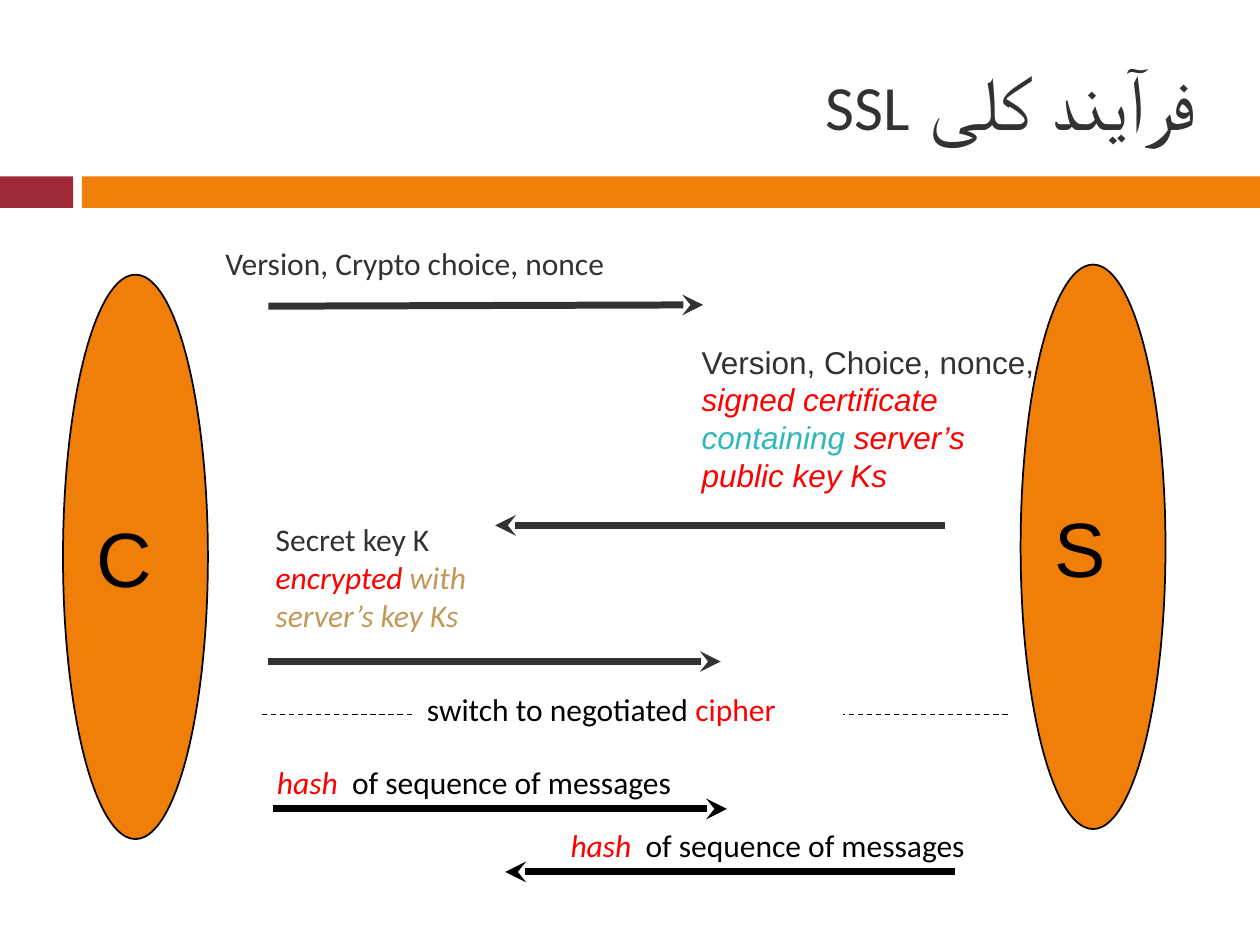
"""Build the slide on the general SSL handshake between client and server."""
from lxml.etree import SubElement
from pptx import Presentation
from pptx.dml.color import RGBColor
from pptx.enum.dml import MSO_LINE
from pptx.enum.shapes import MSO_CONNECTOR as CONN, MSO_SHAPE as SHAPE
from pptx.enum.text import MSO_ANCHOR as ANCHOR, MSO_AUTO_SIZE as AUTO, PP_ALIGN as ALIGN
from pptx.oxml.ns import qn
from pptx.util import Inches, Pt

DARK, BLACK, WHITE, RED = "323232", "000000", "FFFFFF", "FF0000"
ORANGE, CRIMSON, TEAL, TAN = "F07F09", "9F2936", "2DB9B9", "C19859"


def paint(fmt, color):
    fmt.solid()
    fmt.fore_color.rgb = RGBColor.from_string(color)


def write(tf, lines, font, size):
    for i, runs in enumerate(lines):
        p = tf.paragraphs[0] if i == 0 else tf.add_paragraph()
        p.alignment = ALIGN.LEFT
        for text, color, italic in runs:
            r = p.add_run()
            r.text = text
            for name, value in {"name": font, "size": Pt(size), "italic": italic}.items():
                setattr(r.font, name, value)
            paint(r.font.fill, color)


prs = Presentation()
prs.slide_width, prs.slide_height = Inches(10), Inches(7.5)
s = prs.slides.add_slide(prs.slide_layouts[5])

for x, w, color in [(0, 0.58, CRIMSON), (0.65, 9.35, ORANGE)]:
    sp = s.shapes.add_shape(SHAPE.RECTANGLE, Inches(x), Inches(1.4), Inches(w), Inches(0.25))
    sp.shadow.inherit = False
    paint(sp.fill, color)
    sp.line.fill.background()

title = s.shapes.title
box = {"left": 0.67, "top": 0.25, "width": 8.92, "height": 1.08}
for name, value in box.items():
    setattr(title, name, Inches(value))
tf = title.text_frame
tf.vertical_anchor = ANCHOR.MIDDLE
write(tf, [[("فرآیند کلی ", DARK, False), ("SSL", DARK, False)]], "Calibri", 44)
p = tf.paragraphs[0]
p.runs[1].font.size = Pt(36)
p.alignment = ALIGN.RIGHT
p._p.get_or_add_pPr().set("rtl", "1")

for x, y, letter in [(0.5, 2.18, "C"), (8.1, 2.1, "S")]:
    sp = s.shapes.add_shape(SHAPE.OVAL, Inches(x), Inches(y), Inches(1.15), Inches(4.48))
    sp.shadow.inherit = False
    paint(sp.fill, ORANGE)
    paint(sp.line.fill, BLACK)
    sp.line.width = Pt(1)
    tf = sp.text_frame
    tf.word_wrap = False
    tf.vertical_anchor = ANCHOR.MIDDLE
    write(tf, [[(letter, BLACK, False)]], "Arial", 44)

lines = [
    (2.13, 2.43, 5.58, 2.42, DARK, "tailEnd"),
    (3.93, 4.17, 7.5, 4.17, DARK, "headEnd"),
    (2.13, 5.25, 5.72, 5.25, DARK, "tailEnd"),
    (2.17, 6.42, 5.77, 6.42, BLACK, "tailEnd"),
    (4.01, 6.92, 7.58, 6.92, BLACK, "headEnd"),
    (2.08, 5.67, 8, 5.67, BLACK, None),
]
for x1, y1, x2, y2, color, end in lines:
    ln = s.shapes.add_connector(CONN.STRAIGHT, Inches(x1), Inches(y1), Inches(x2), Inches(y2))
    paint(ln.line.fill, color)
    ln.line.width = Pt(4 if end else 0.75)
    if end:
        SubElement(ln.line._get_or_add_ln(), qn(f"a:{end}"), type="stealth")
    else:
        ln.line.dash_style = MSO_LINE.DASH
    SubElement(ln._element.spPr, qn("a:effectLst"))

messages = [
    (1.69, 1.89, 3.67, 0.4, "Calibri", [[("Version, Crypto choice, nonce", DARK, False)]]),
    (5.47, 2.67, 2.85, 1.3, "Arial", [
        [("Version, Choice, nonce,", DARK, False)],
        [("signed certificate", RED, True)],
        [("containing ", TEAL, True), ("server’s", RED, True)],
        [("public key Ks", RED, True)],
    ]),
    (2.09, 4.08, 1.9, 1, "Calibri", [
        [("Secret key K", DARK, False)],
        [("encrypted ", RED, True), ("with", TAN, True)],
        [("server’s key Ks", TAN, True)],
    ]),
    (4.43, 6.51, 3.83, 0.4, "Calibri",
     [[("hash  ", RED, True), ("of sequence of messages", BLACK, False)]]),
    (2.1, 6.01, 3.83, 0.4, "Calibri",
     [[("hash ", RED, True), (" of sequence of messages", BLACK, False)]]),
]
for x, y, w, h, font, text in messages:
    tf = s.shapes.add_textbox(Inches(x), Inches(y), Inches(w), Inches(h)).text_frame
    tf.word_wrap = False
    tf.auto_size = AUTO.SHAPE_TO_FIT_TEXT
    write(tf, text, font, 18)

sp = s.shapes.add_shape(SHAPE.RECTANGLE, Inches(3.29), Inches(5.43), Inches(3.4), Inches(0.4))
sp.shadow.inherit = False
paint(sp.fill, WHITE)
sp.line.fill.background()
tf = sp.text_frame
tf.word_wrap = False
tf.auto_size = AUTO.SHAPE_TO_FIT_TEXT
tf.vertical_anchor = ANCHOR.TOP
write(tf, [[("switch to negotiated ", BLACK, False), ("cipher", RED, False)]], "Calibri", 18)

prs.save("out.pptx")
